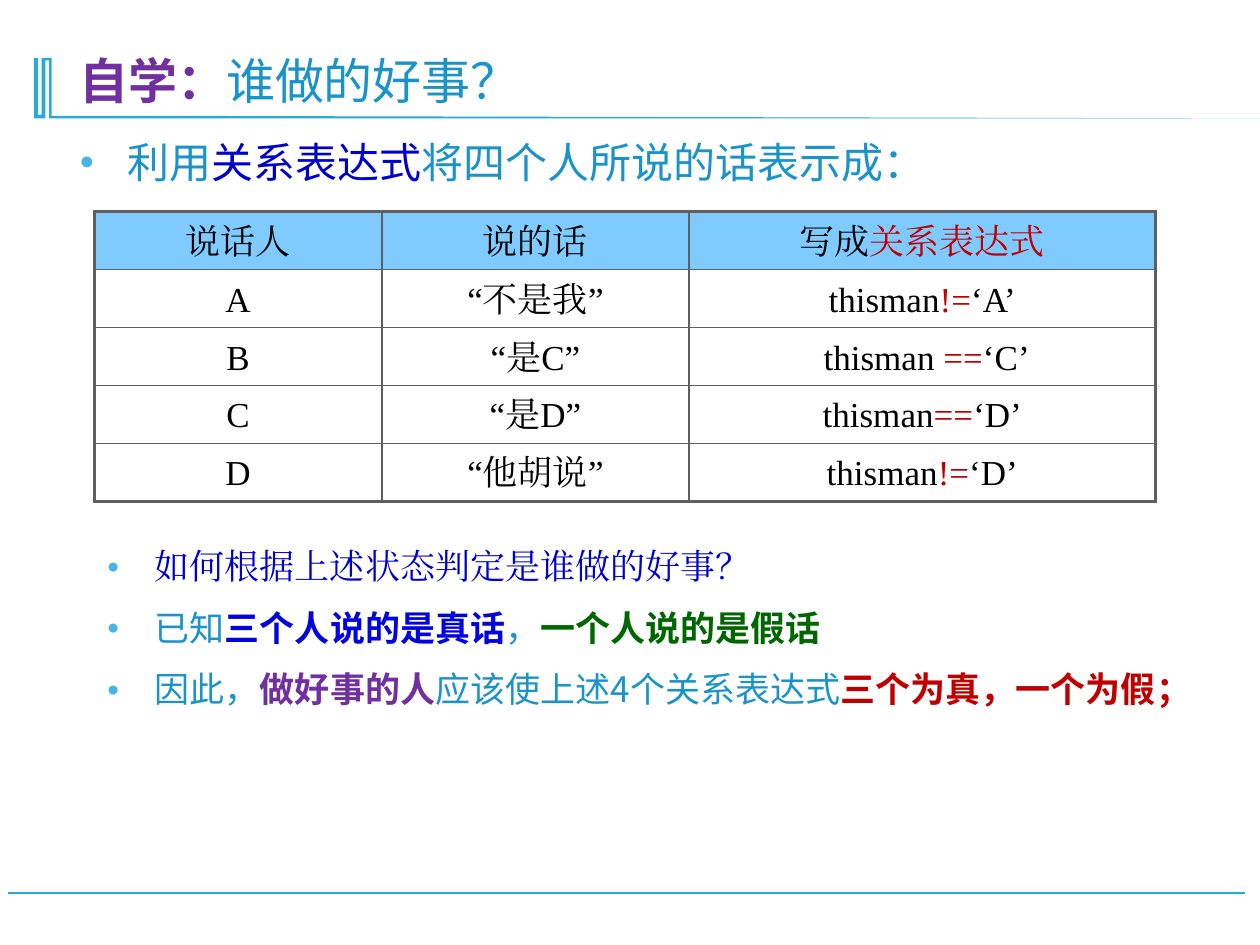
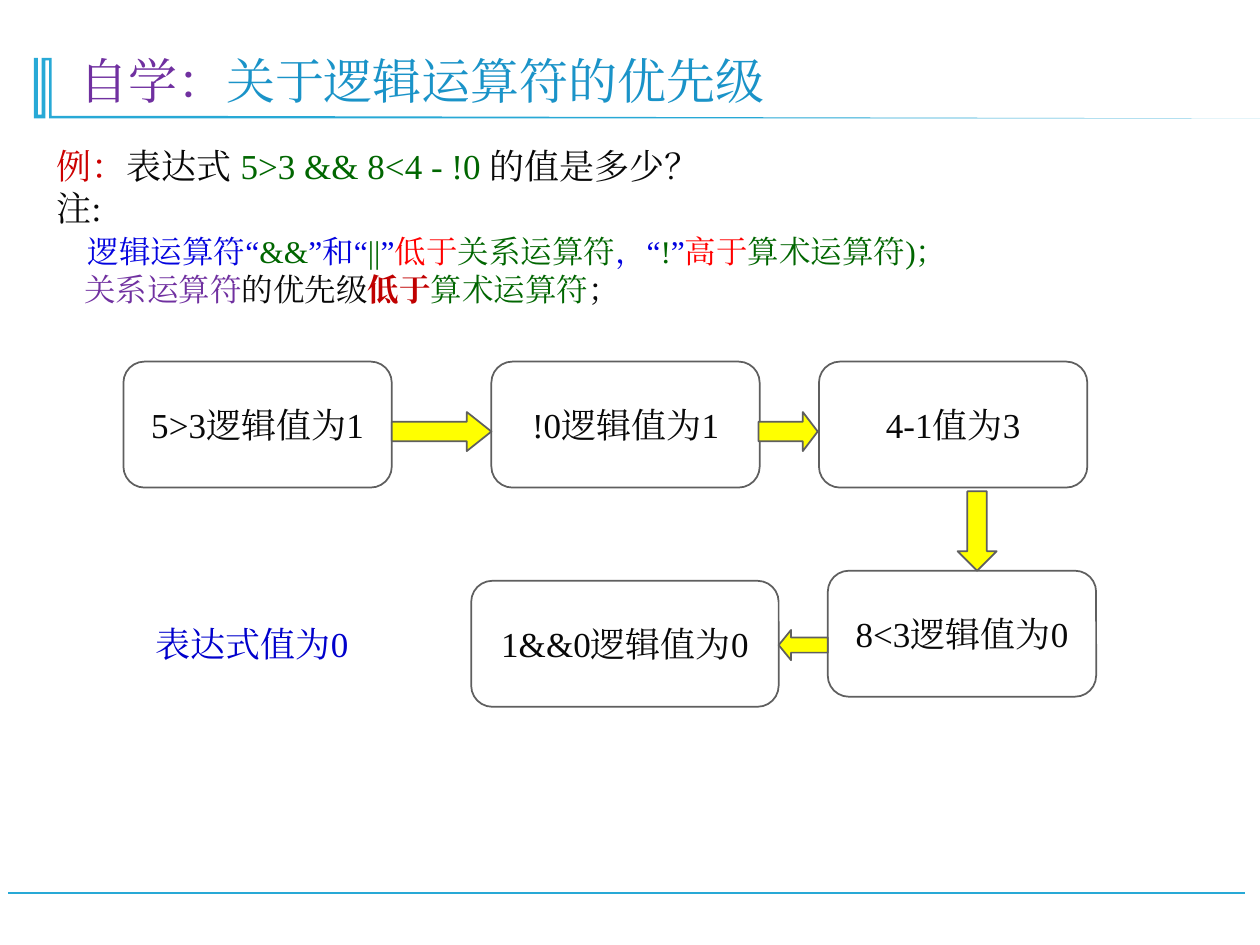
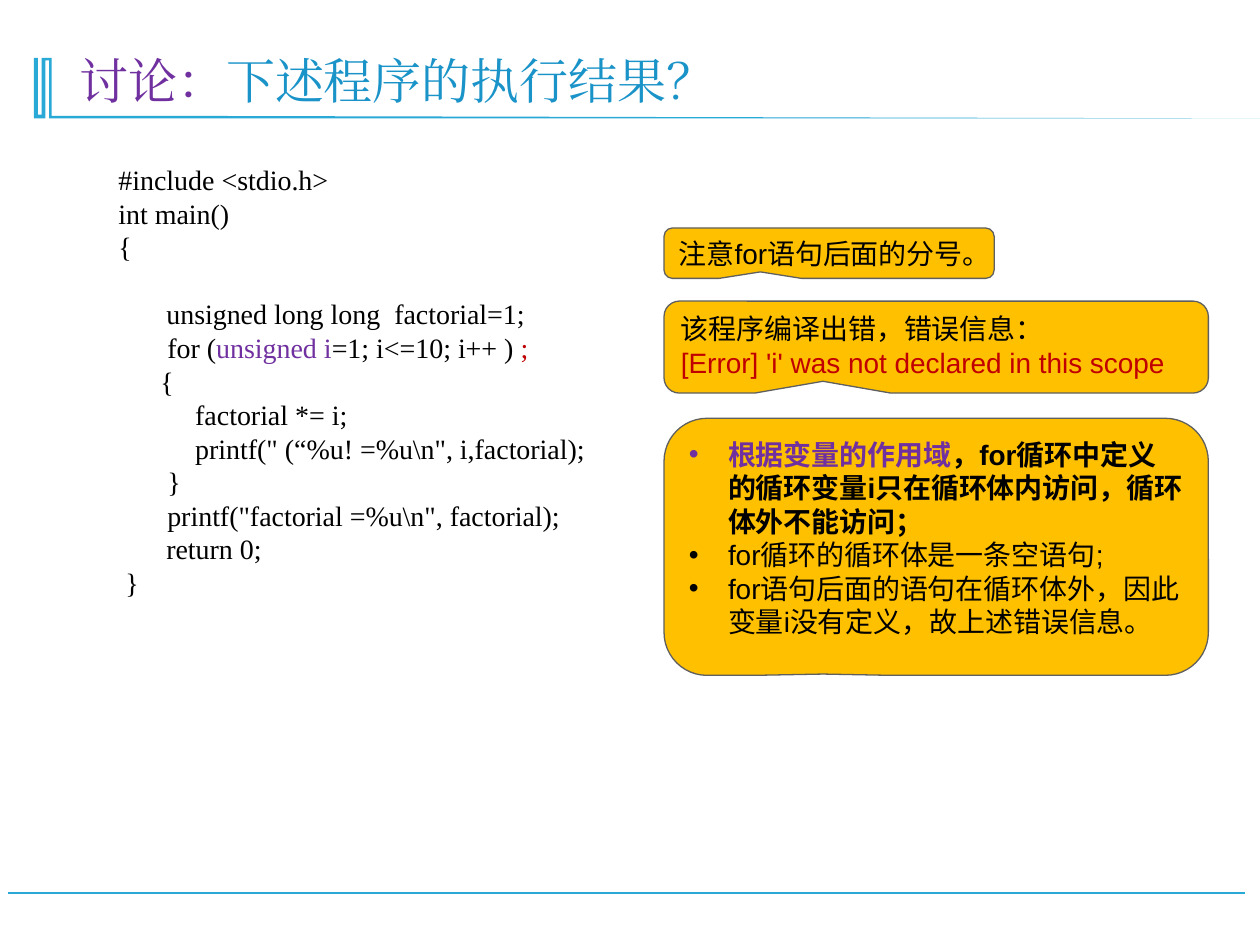
"""Builds three slides of a C programming lesson on expressions and loops."""
from lxml.etree import SubElement
from pptx import Presentation
from pptx.dml.color import RGBColor
from pptx.enum.shapes import MSO_CONNECTOR, MSO_SHAPE
from pptx.enum.text import MSO_ANCHOR, MSO_AUTO_SIZE, PP_ALIGN
from pptx.oxml.ns import qn
from pptx.util import Inches, Pt

SERIF, SANS, CJK = "Times New Roman", "Arial", "Noto Sans CJK SC"
CYAN, SKY, DOT = "28A9D6", "1A93C8", "47B6E7"
PURPLE, NAVY, BLUE, GREEN = "7030A0", "0000CC", "0303DF", "006600"
CRIMSON, RED, DARK_RED = "C00000", "FF0000", "CC0000"
BLACK, INK, GREY, WHITE = "000000", "080808", "5F5F5F", "FFFFFF"
YELLOW, AMBER, HEADER = "FFFF00", "FFC000", "0099FF"

TITLE_ONLY, TITLE_AND_BODY = 5, 1
LEADING = 1.2
PLAIN = dict(size=20, font=SERIF, leading=LEADING, before=0, margin=0, indent=0,
             bullet=None, align=PP_ALIGN.LEFT)
LIST = dict(leading=0.9 * LEADING, before=13.5, margin=0.38, indent=-0.38,
            bullet=("●", DOT, 60))
BAND_OUTLINE = [(41, 46), (41, 92), (140, 92), (1000, 94), (39, 94), (39, 48), (36, 48),
                (36, 94), (27, 94), (27, 46), (30, 46), (30, 91), (33, 91), (33, 46)]


def rgb(code):
    return RGBColor.from_string(code)


def assign(target, values):
    for name, value in values.items():
        setattr(target, name, value)


class Deck:
    def __init__(self):
        self.presentation = Presentation()
        self.presentation.slide_width = Inches(10)
        self.presentation.slide_height = Inches(7.5)
        self.slide = None

    def start(self, layout, topic, question, **look):
        self.slide = self.presentation.slides.add_slide(
            self.presentation.slide_layouts[layout])
        footer = self.slide.shapes.add_connector(
            MSO_CONNECTOR.STRAIGHT, Inches(9.88), Inches(7.09), Inches(0.06), Inches(7.09))
        footer.line.color.rgb = rgb(CYAN)
        footer.line.width = Pt(1.25)
        SubElement(footer._element.spPr, qn("a:effectLst"))
        builder = self.slide.shapes.build_freeform(*BAND_OUTLINE[0], scale=Inches(0.01))
        builder.add_line_segments(BAND_OUTLINE[1:], close=True)
        self.paint(builder.convert_to_shape(), CYAN)
        runs = [(topic, PURPLE, look.pop("bold", False)), (question, SKY)]
        self.fill_placeholder(self.slide.shapes.title, (0.53, 0.28, 8.85, 0.64),
                              [dict(runs=runs)], MSO_ANCHOR.BOTTOM,
                              size=28, leading=0.9 * LEADING, **look)

    def paint(self, shape, fill, line=None, width=1):
        shape.shadow.inherit = False
        shape.fill.solid()
        shape.fill.fore_color.rgb = rgb(fill)
        if line:
            shape.line.color.rgb = rgb(line)
            shape.line.width = Pt(width)
        else:
            shape.line.fill.background()

    def typeset(self, frame, lines, **base):
        for number, line in enumerate(lines):
            look = {**PLAIN, **base, **line}
            paragraph = frame.paragraphs[0] if number == 0 else frame.add_paragraph()
            properties = paragraph._p.get_or_add_pPr()
            properties.set("marL", str(Inches(look["margin"])))
            properties.set("indent", str(Inches(look["indent"])))
            self.add_bullet(properties, look["bullet"])
            assign(paragraph, dict(
                alignment=look["align"], space_after=Pt(0),
                space_before=Pt(look["before"] if number else 0),
                line_spacing=Pt(round(look["size"] * look["leading"], 1))))
            for text, color, *bold in look["runs"]:
                run = paragraph.add_run()
                run.text = text
                assign(run.font, dict(name=look["font"], size=Pt(look["size"]),
                                      bold=bool(bold and bold[0])))
                run.font.color.rgb = rgb(color)
                SubElement(run._r.get_or_add_rPr(), qn("a:ea"), typeface=look["font"])

    def add_bullet(self, properties, bullet):
        if bullet is None:
            SubElement(properties, qn("a:buNone"))
            return
        char, color, percent = bullet
        if color:
            SubElement(SubElement(properties, qn("a:buClr")), qn("a:srgbClr"), val=color)
        SubElement(properties, qn("a:buSzPct"), val=str(percent * 1000))
        SubElement(properties, qn("a:buFont"), typeface=SANS)
        SubElement(properties, qn("a:buChar"), char=char)

    def fill_placeholder(self, holder, box, lines, anchor=MSO_ANCHOR.TOP, **look):
        assign(holder, dict(zip(("left", "top", "width", "height"), map(Inches, box))))
        assign(holder.text_frame, dict(auto_size=MSO_AUTO_SIZE.NONE, word_wrap=True,
                                       vertical_anchor=anchor))
        self.typeset(holder.text_frame, lines, **look)

    def body(self, box, lines, **look):
        self.fill_placeholder(self.slide.placeholders[1], box, lines, **look)

    def text(self, box, lines, anchor=MSO_ANCHOR.TOP, **look):
        frame = self.slide.shapes.add_textbox(*map(Inches, box)).text_frame
        assign(frame, dict(word_wrap=True, vertical_anchor=anchor))
        self.typeset(frame, lines, **look)

    def shape(self, kind, box, fill, adjustments, width=1):
        shape = self.slide.shapes.add_shape(kind, *map(Inches, box))
        for index, value in enumerate(adjustments):
            shape.adjustments[index] = value
        self.paint(shape, fill, GREY, width)
        return shape

    def step(self, box, label):
        frame = self.shape(MSO_SHAPE.ROUNDED_RECTANGLE, box, WHITE, [0.167]).text_frame
        assign(frame, dict(word_wrap=False, vertical_anchor=MSO_ANCHOR.MIDDLE))
        self.typeset(frame, [dict(runs=[(label, INK)])], align=PP_ALIGN.CENTER)

    def callout(self, box, tip, lines, **look):
        frame = self.shape(MSO_SHAPE.ROUNDED_RECTANGULAR_CALLOUT, box, AMBER,
                           [-0.208, tip, 0.167], 0.75).text_frame
        assign(frame, dict(word_wrap=True, vertical_anchor=MSO_ANCHOR.TOP))
        self.typeset(frame, lines, size=16, font=SANS, **look)

    def table(self, left, top, widths, row_height, rows):
        table = self.slide.shapes.add_table(
            len(rows), len(widths), Inches(left), Inches(top),
            Inches(sum(widths)), Inches(row_height * len(rows))).table
        assign(table, dict(first_row=False, horz_banding=False))
        for column, width in zip(table.columns, widths):
            column.width = Inches(width)
        for r, row in enumerate(rows):
            table.rows[r].height = Inches(row_height)
            for c, runs in enumerate(row):
                cell = table.cell(r, c)
                outer = dict(lnL=c == 0, lnR=c == len(widths) - 1,
                             lnT=r == 0, lnB=r == len(rows) - 1)
                self.format_cell(cell, outer, is_header=r == 0)
                self.typeset(cell.text_frame, [dict(runs=runs)], align=PP_ALIGN.CENTER)

    def format_cell(self, cell, outer, is_header):
        assign(cell, dict(margin_left=0, margin_right=0, margin_top=0, margin_bottom=0,
                          vertical_anchor=MSO_ANCHOR.MIDDLE))
        properties = cell._tc.get_or_add_tcPr()
        for side, is_outer in outer.items():
            border = SubElement(properties, qn(f"a:{side}"),
                                w=str(Pt(2.25 if is_outer else 1)))
            SubElement(SubElement(border, qn("a:solidFill")), qn("a:srgbClr"), val=GREY)
        if is_header:
            cell.fill.solid()
            cell.fill.fore_color.rgb = rgb(HEADER)
            tint = properties.find(qn("a:solidFill")).find(qn("a:srgbClr"))
            SubElement(tint, qn("a:alpha"), val="50000")
        else:
            cell.fill.background()


def build_good_deed(deck):
    deck.start(TITLE_AND_BODY, "自学：", "谁做的好事？", font=CJK, bold=True)
    deck.body((0.53, 1.07, 8.85, 0.53), [dict(runs=[
        ("利用", SKY), ("关系表达式", NAVY), ("将四个人所说的话表示成：", SKY)])],
        **LIST, size=24, font=CJK)
    statements = [("A", "“不是我”", "thisman", "!=", "‘A’"),
                  ("B", "“是C”", " thisman ", "==", "‘C’"),
                  ("C", "“是D”", "thisman", "==", "‘D’"),
                  ("D", "“他胡说”", "thisman", "!=", "‘D’")]
    header = [[("说话人", BLACK)], [("说的话", BLACK)],
              [("写成", BLACK), ("关系表达式", CRIMSON)]]
    rows = [[[(speaker, BLACK)], [(words, BLACK)],
             [(variable, BLACK), (operator, CRIMSON), (value, BLACK)]]
            for speaker, words, variable, operator, value in statements]
    deck.table(0.75, 1.68, [2.28, 2.44, 3.7], 0.46, [header] + rows)
    deck.text((0.75, 4.31, 9.03, 1.64), [
        dict(runs=[("如何根据上述状态判定是谁做的好事？", NAVY)], font=SERIF),
        dict(runs=[("已知", SKY), ("三个人说的是真话", BLUE, True), ("，", SKY),
                   ("一个人说的是假话", GREEN, True)]),
        dict(runs=[("因此，", SKY), ("做好事的人", PURPLE, True),
                   ("应该使上述4个关系表达式", SKY),
                   ("三个为真，一个为假；", CRIMSON, True)])], **{**LIST, "font": CJK})


def build_precedence(deck):
    deck.start(TITLE_ONLY, "自学：", "关于逻辑运算符的优先级")
    deck.text((0.35, 1.1, 9.03, 1.5), [
        dict(runs=[("例：", DARK_RED), ("表达式 ", INK), ("5>3 && 8<4 - !0 ", GREEN),
                   ("的值是多少？", INK)]),
        dict(runs=[("注:", INK)]),
        dict(runs=[("逻辑运算符“", BLUE), ("&&", GREEN), ("”和“", BLUE), ("||", GREEN),
                   ("”", BLUE), ("低于", RED), ("关系运算符", GREEN), ("，“", BLUE),
                   ("!", GREEN), ("”", BLUE), ("高于", RED), ("算术运算符)；", GREEN)],
             size=18, margin=0.25, before=2),
        dict(runs=[("关系运算符", PURPLE), ("的优先级", INK), ("低于", CRIMSON, True),
                   ("算术运算符", GREEN), ("；", INK)], size=18, margin=0.22)])
    steps = [("5>3逻辑值为1", 0.98, 2.87, 2.13), ("!0逻辑值为1", 3.9, 2.87, 2.13),
             ("4-1值为3", 6.5, 2.87, 2.13), ("8<3逻辑值为0", 6.57, 4.53, 2.13),
             ("1&&0逻辑值为0", 3.74, 4.61, 2.44)]
    for label, left, top, width in steps:
        deck.step((left, top, width, 1), label)
    arrows = [(MSO_SHAPE.RIGHT_ARROW, (3.11, 3.27, 0.79, 0.31), 0.63),
              (MSO_SHAPE.RIGHT_ARROW, (6.02, 3.27, 0.47, 0.31), 0.38),
              (MSO_SHAPE.DOWN_ARROW, (7.6, 3.9, 0.31, 0.63), 0.5),
              (MSO_SHAPE.LEFT_ARROW, (6.18, 5, 0.39, 0.24), 0.41)]
    for kind, box, head in arrows:
        deck.shape(kind, box, YELLOW, [0.5, head])
    deck.text((0.83, 4.61, 2.34, 1), [dict(runs=[("表达式值为0", NAVY)])],
              MSO_ANCHOR.MIDDLE, align=PP_ALIGN.CENTER)


def build_discussion(deck):
    deck.start(TITLE_AND_BODY, "讨论：", "下述程序的执行结果？")
    loop = [("       for (", BLACK), ("unsigned i", PURPLE),
            ("=1; i<=10; i++ ) ", BLACK), (";", CRIMSON)]
    opening = ["#include <stdio.h>", "int main()", "{"]
    closing = ["      {", "           factorial *= i;",
               '           printf(" (“%u! =%u\\n", i,factorial);', "       }",
               '       printf("factorial =%u\\n", factorial);', "\treturn 0;", " }"]
    code = [dict(runs=[(line, BLACK)]) for line in opening]
    code.append(dict(runs=[("\tunsigned long long  factorial=1;", BLACK)],
                     before=16 * LEADING))
    code.append(dict(runs=loop))
    code += [dict(runs=[(line, BLACK)]) for line in closing]
    deck.body((0.53, 1.24, 4.48, 5.85), code, size=16, margin=0.69, indent=-0.38)
    deck.callout((5.27, 1.81, 2.62, 0.4), 0.372,
                 [dict(runs=[("注意for语句后面的分号。", BLACK)])])
    deck.callout((5.27, 2.39, 4.32, 0.73), 0.372, [
        dict(runs=[("该程序编译出错，错误信息：", BLACK)]),
        dict(runs=[("[Error] 'i' was not declared in this scope", CRIMSON)])])
    deck.callout((5.27, 3.32, 4.32, 2.04), 0.495, [
        dict(runs=[("根据变量的作用域", PURPLE, True),
                   ("，for循环中定义的循环变量i只在循环体内访问，循环体外不能访问；",
                    BLACK, True)]),
        dict(runs=[("for循环的循环体是一条空语句;", BLACK)]),
        dict(runs=[("for语句后面的语句在循环体外，因此变量i没有定义，故上述错误信息。",
                    BLACK)])],
        margin=0.31, indent=-0.31, bullet=("•", None, 100))


def main():
    deck = Deck()
    build_good_deed(deck)
    build_precedence(deck)
    build_discussion(deck)
    deck.presentation.save("out.pptx")


if __name__ == "__main__":
    main()
